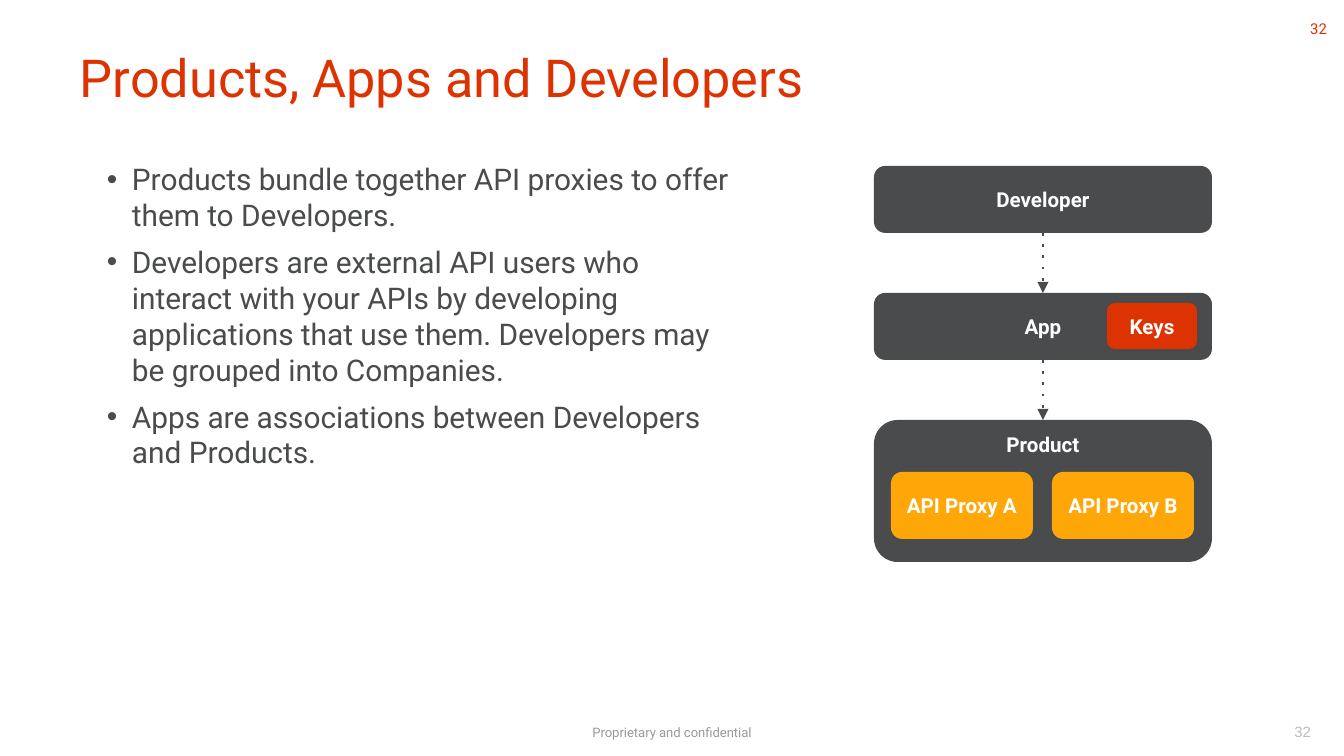
from lxml.etree import SubElement
from pptx import Presentation
from pptx.dml.color import RGBColor
from pptx.enum.shapes import MSO_CONNECTOR, MSO_SHAPE
from pptx.enum.text import MSO_ANCHOR, PP_ALIGN
from pptx.oxml.ns import qn
from pptx.util import Emu, Pt

COLORS = {
    "red": "DD3303",
    "dark": "494B4C",
    "orange": "FFA608",
    "white": "FFFFFF",
    "footer": "999999",
    "number": "BDBDBD",
}
EMU_PER_PX = 914400 / 134.4


def px(length):
    return Emu(round(length * EMU_PER_PX))


def color(name):
    return RGBColor.from_string(COLORS[name])


class SlideBuilder:
    """Draws styled elements on one slide, with lengths in px."""

    font_name = "Roboto"
    corner = 0.167
    bullet_indent = 25

    def __init__(self, slide):
        self.slide = slide

    def set_font(self, paragraph, size, color_name, bold=False, name=None):
        font = paragraph.font
        font.name = name or self.font_name
        font.size = Pt(size)
        font.bold = bold
        font.color.rgb = color(color_name)

    def set_frame(self, frame, insets, anchor):
        frame.word_wrap = True
        frame.vertical_anchor = anchor
        frame.margin_left = frame.margin_right = px(insets[0])
        frame.margin_top = frame.margin_bottom = px(insets[1])

    def frame(self, bounds, insets, anchor):
        box = self.slide.shapes.add_textbox(*map(px, bounds))
        self.set_frame(box.text_frame, insets, anchor)
        return box.text_frame

    def text(self, text, bounds, size, color_name, insets=(13, 13),
             anchor=MSO_ANCHOR.TOP, align=PP_ALIGN.LEFT, name=None):
        paragraph = self.frame(bounds, insets, anchor).paragraphs[0]
        paragraph.text = text
        paragraph.alignment = align
        self.set_font(paragraph, size, color_name, name=name)

    def bullets(self, items, bounds, size, color_name):
        frame = self.frame(bounds, (10, 5), MSO_ANCHOR.TOP)
        for index, item in enumerate(items):
            paragraph = frame.add_paragraph() if index else frame.paragraphs[0]
            paragraph.text = item
            if index:
                paragraph.space_before = Pt(6)
            properties = paragraph._p.get_or_add_pPr()
            properties.set("marL", str(px(self.bullet_indent)))
            properties.set("indent", str(-px(self.bullet_indent)))
            bullet_color = SubElement(properties, qn("a:buClr"))
            SubElement(bullet_color, qn("a:srgbClr"), val=COLORS[color_name])
            SubElement(properties, qn("a:buFont"), typeface="Arial")
            SubElement(properties, qn("a:buChar"), char="•")
            self.set_font(paragraph, size, color_name)

    def box(self, label, bounds, fill, anchor=MSO_ANCHOR.MIDDLE):
        shape = self.slide.shapes.add_shape(
            MSO_SHAPE.ROUNDED_RECTANGLE, *map(px, bounds))
        shape.adjustments[0] = self.corner
        shape.shadow.inherit = False
        shape.fill.solid()
        shape.fill.fore_color.rgb = color(fill)
        shape.line.fill.background()
        self.set_frame(shape.text_frame, (10, 5), anchor)
        paragraph = shape.text_frame.paragraphs[0]
        paragraph.text = label
        paragraph.alignment = PP_ALIGN.CENTER
        self.set_font(paragraph, 11, "white", bold=True)
        return shape

    def arrow(self, upper, lower):
        connector = self.slide.shapes.add_connector(
            MSO_CONNECTOR.STRAIGHT, 0, 0, 0, 0)
        connector.begin_connect(upper, 2)
        connector.end_connect(lower, 0)
        connector.line.width = Pt(1.5)
        connector.line.color.rgb = color("dark")
        properties = connector._element.spPr
        line = properties.find(qn("a:ln"))
        SubElement(line, qn("a:prstDash"), val="dot")
        SubElement(line, qn("a:tailEnd"), type="triangle")
        SubElement(properties, qn("a:effectLst"))


def main():
    presentation = Presentation()
    presentation.slide_width = px(1344)
    presentation.slide_height = px(756)
    builder = SlideBuilder(
        presentation.slides.add_slide(presentation.slide_layouts[6]))

    builder.text("32", (1259, 0, 81, 58), 8, "red",
                 anchor=MSO_ANCHOR.MIDDLE, align=PP_ALIGN.RIGHT)
    builder.text("Proprietary and confidential", (445, 718, 454, 29), 7, "footer",
                 insets=(13, 7), anchor=MSO_ANCHOR.BOTTOM, align=PP_ALIGN.CENTER)
    builder.text("32", (1254, 712, 67, 40), 8, "number", insets=(10, 5),
                 anchor=MSO_ANCHOR.MIDDLE, align=PP_ALIGN.RIGHT, name="Arial")

    left, top, width, height, pitch = 874, 166, 338, 67, 127
    product = builder.box("Product", (left, top + 2 * pitch, width, 142), "dark",
                          anchor=MSO_ANCHOR.TOP)
    for index, letter in enumerate("AB"):
        builder.box(f"API Proxy {letter}", (891 + 161 * index, 472, 142, height),
                    "orange")
    developer, app = [
        builder.box(label, (left, top + row * pitch, width, height), "dark")
        for row, label in enumerate(("Developer", "App"))]
    builder.arrow(app, product)
    builder.arrow(developer, app)
    builder.box("Keys", (1107, 303, 90, 46), "red")

    builder.text("Products, Apps and Developers", (67, 32, 1210, 77), 28, "red")
    builder.bullets((
        "Products bundle together API proxies to offer them to Developers.",
        "Developers are external API users who interact with your APIs by "
        "developing applications that use them. Developers may be grouped "
        "into Companies.",
        "Apps are associations between Developers and Products.",
    ), (97, 156, 657, 473), 16, "dark")

    presentation.save("out.pptx")


if __name__ == "__main__":
    main()
